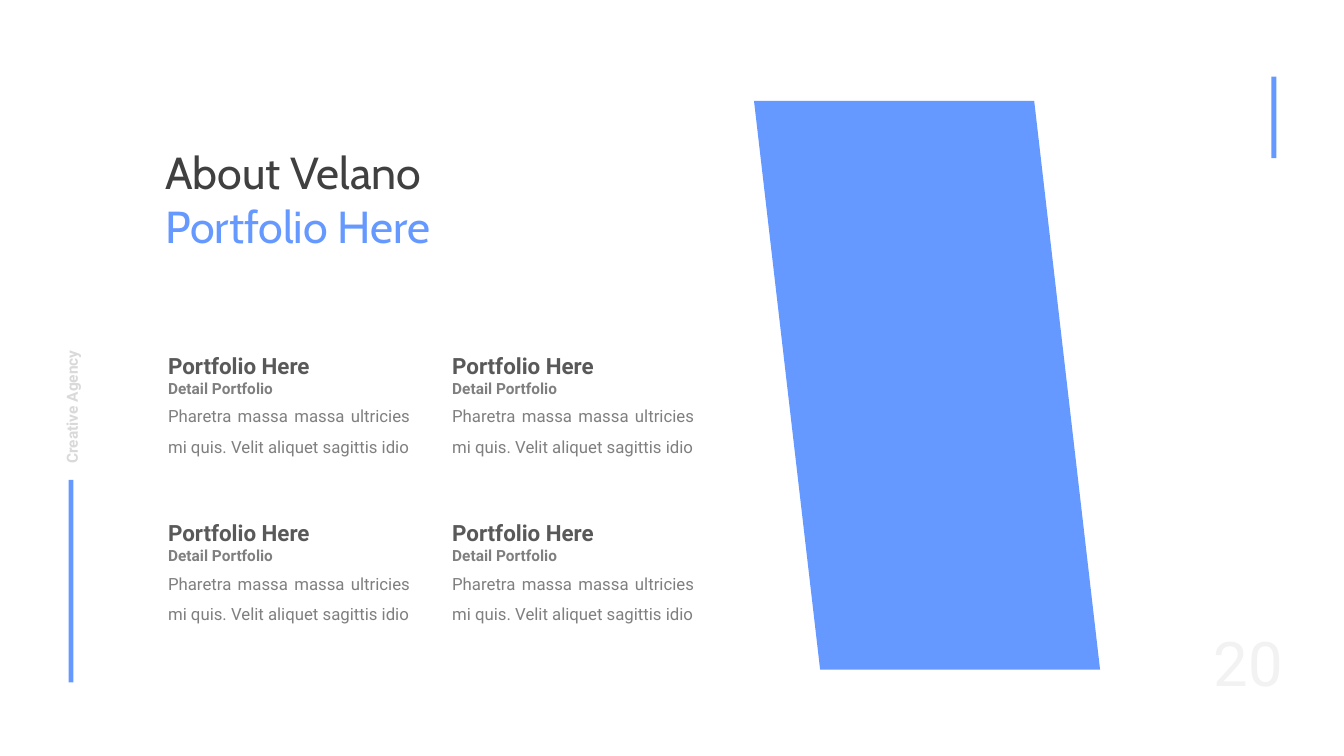
from itertools import product
from typing import NamedTuple

from pptx import Presentation
from pptx.dml.color import RGBColor
from pptx.enum.shapes import MSO_SHAPE
from pptx.enum.text import MSO_AUTO_SIZE, PP_ALIGN
from pptx.util import Inches, Pt

WIDE, HIGH = Inches(13.34), Inches(7.5)
BLUE, DARK, GREY, PALE = "6699FF", "595959", "7F7F7F", "D9D9D9"


class Box(NamedTuple):
    """Left, top, width and height in percent of the slide."""
    x: float
    y: float
    w: float
    h: float

    def shift(self, dx: float, dy: float) -> "Box":
        return self._replace(x=self.x + dx, y=self.y + dy)


class Style(NamedTuple):
    size: int
    color: str
    bold: bool = False
    face: str = "Roboto"
    align: PP_ALIGN = PP_ALIGN.JUSTIFY
    lines: float = 1.5


class Label(NamedTuple):
    box: Box
    text: str
    style: Style


SMALL = Style(11, GREY, True)
TITLE = Style(32, "404040", face="Cabin", align=PP_ALIGN.LEFT, lines=1)

# One portfolio item, repeated over a grid of two columns and two rows
ITEM = [
    Label(Box(11.77, 44.13, 19.49, 6.67), "Portfolio Here", Style(16, DARK, True)),
    Label(Box(11.77, 48.27, 11.99, 5.07), "Detail Portfolio", SMALL),
    Label(Box(11.77, 51.73, 19.49, 9.33),
          "Pharetra massa massa ultricies mi quis. Velit aliquet sagittis idio",
          Style(12, GREY)),
]
COL, ROW = 21.14, 22.13
BARS = [Box(5.1, 63.47, 0.37, 26.8), Box(94.6, 10.13, 0.37, 10.8)]
PANEL = [(56.1, 13.33), (76.95, 13.33), (81.85, 88.67 - 0.1), (61.02, 88.57)]


def across(share: float) -> int:
    return round(WIDE * share / 100)


def down(share: float) -> int:
    return round(HIGH * share / 100)


def place(box: Box) -> tuple[int, int, int, int]:
    return across(box.x), down(box.y), across(box.w), down(box.h)


def paint(shape, color: str) -> None:
    """Give a shape a flat fill with no line or shadow."""
    shape.fill.solid()
    shape.fill.fore_color.rgb = RGBColor.from_string(color)
    shape.line.fill.background()
    shape.shadow.inherit = False


def ink(run, style: Style) -> None:
    """Set the font of a run."""
    font = run.font
    font.name, font.size, font.bold = style.face, Pt(style.size), style.bold
    font.color.rgb = RGBColor.from_string(style.color)


def write(slide, label: Label):
    """Add a text box and return it."""
    shape = slide.shapes.add_textbox(*place(label.box))
    frame = shape.text_frame
    frame.text = label.text
    frame.word_wrap = True
    frame.auto_size = MSO_AUTO_SIZE.SHAPE_TO_FIT_TEXT
    para = frame.paragraphs[0]
    para.alignment, para.line_spacing = label.style.align, label.style.lines
    ink(para.runs[0], label.style)
    return shape


def main() -> None:
    deck = Presentation()
    deck.slide_width, deck.slide_height = WIDE, HIGH
    slide = deck.slides.add_slide(deck.slide_layouts[6])

    start, *rest = [(across(x), down(y)) for x, y in PANEL]
    pen = slide.shapes.build_freeform(*start)
    pen.add_line_segments(rest, close=True)
    paint(pen.convert_to_shape(), BLUE)

    for bar in BARS:
        paint(slide.shapes.add_shape(MSO_SHAPE.RECTANGLE, *place(bar)), BLUE)

    side = Label(Box(-0.67, 50, 11.39, 5.07), "Creative Agency",
                 SMALL._replace(color=PALE))
    write(slide, side).rotation = 270

    for row, col in product(range(2), repeat=2):
        for part in ITEM:
            write(slide, part._replace(box=part.box.shift(col * COL, row * ROW)))

    head = write(slide, Label(Box(11.54, 18.53, 28.56, 15.6), "About Velano ", TITLE))
    tail = head.text_frame.paragraphs[0].add_run()
    tail.text = "Portfolio Here"
    ink(tail, TITLE._replace(color=BLUE))

    page = Style(44, "F2F2F2", align=PP_ALIGN.LEFT, lines=1)
    write(slide, Label(Box(89.58, 82, 6.75, 10.93), "20", page))
    deck.save("out.pptx")


if __name__ == "__main__":
    main()
